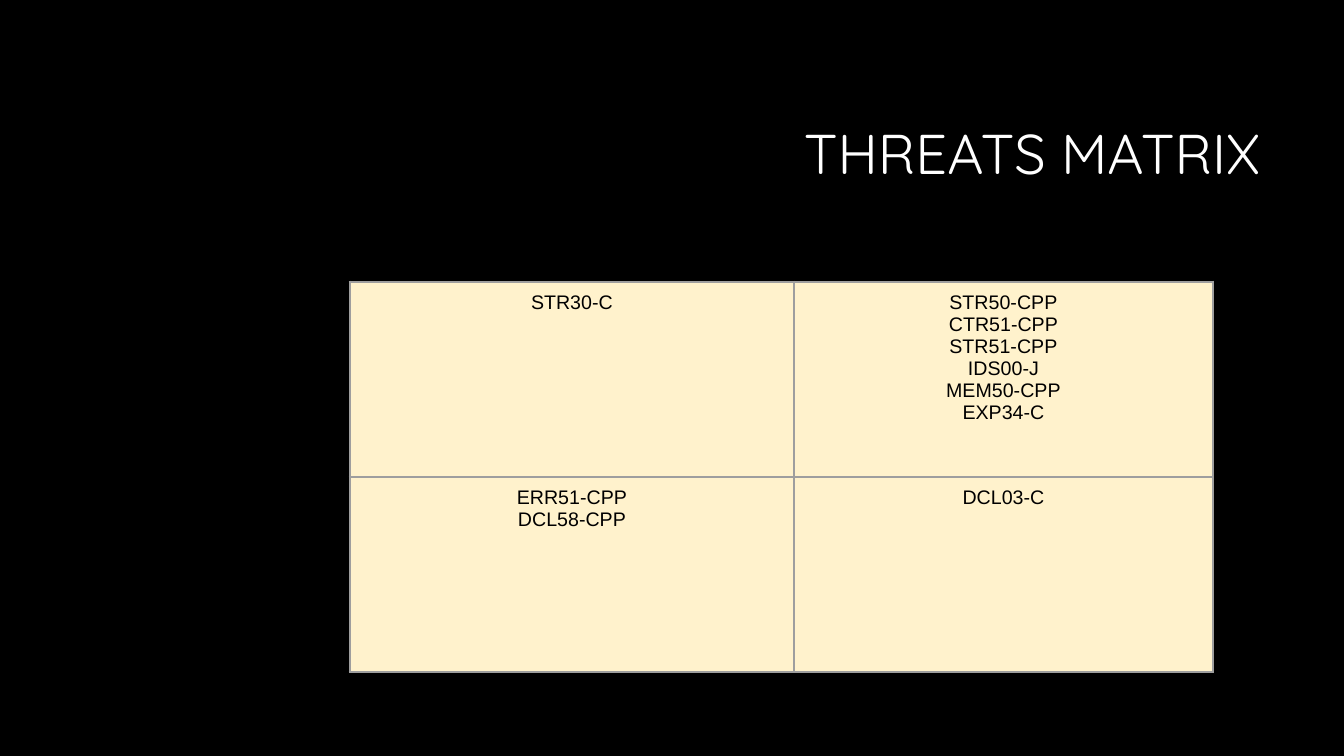
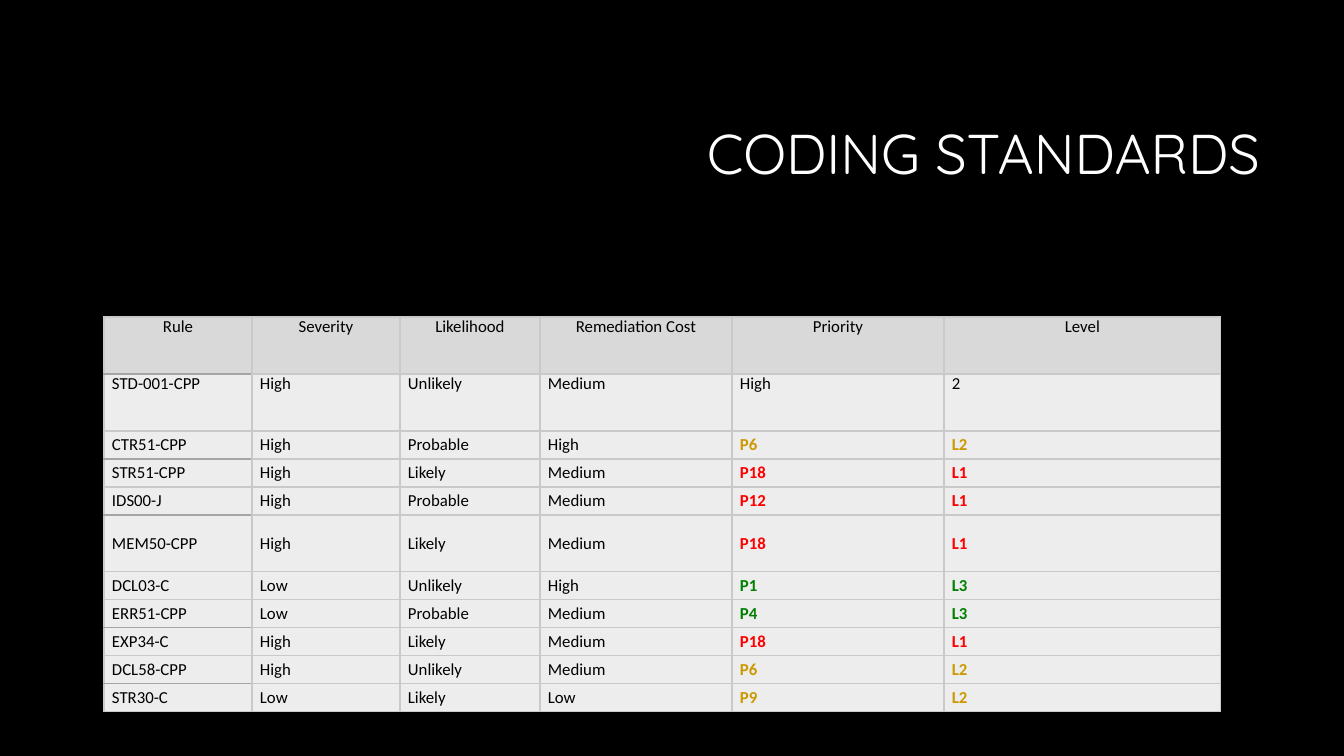
from lxml.etree import SubElement
from pptx import Presentation
from pptx.dml.color import RGBColor
from pptx.enum.text import MSO_ANCHOR, PP_ALIGN
from pptx.oxml.ns import qn
from pptx.util import Pt

EMU_PER_PX = 914400 / 100.8

COLORS = {
    "background": "000000",
    "title": "FFFFFF",
    "text": "000000",
    "matrix_fill": "FFF2CC",
    "matrix_border": "9E9E9E",
    "header_fill": "D9D9D9",
    "row_fill": "EDEDED",
    "border": "C9C9C9",
    "dark_border": "A5A5A5",
    "L1": "FF0000",
    "L2": "CC9900",
    "L3": "008000",
}

THREATS = [
    ["STR30-C", "STR50-CPP\nCTR51-CPP\nSTR51-CPP\nIDS00-J\nMEM50-CPP\nEXP34-C"],
    ["ERR51-CPP\nDCL58-CPP", "DCL03-C"],
]

STANDARDS = [
    ["Rule", "Severity", "Likelihood", "Remediation Cost", "Priority", "Level"],
    ["STD-001-CPP", "High", "Unlikely", "Medium", "High", "2"],
    ["CTR51-CPP", "High", "Probable", "High", "P6", "L2"],
    ["STR51-CPP", "High", "Likely", "Medium", "P18", "L1"],
    ["IDS00-J", "High", "Probable", "Medium", "P12", "L1"],
    ["MEM50-CPP", "High", "Likely", "Medium", "P18", "L1"],
    ["DCL03-C", "Low", "Unlikely", "High", "P1", "L3"],
    ["ERR51-CPP", "Low", "Probable", "Medium", "P4", "L3"],
    ["EXP34-C", "High", "Likely", "Medium", "P18", "L1"],
    ["DCL58-CPP", "High", "Unlikely", "Medium", "P6", "L2"],
    ["STR30-C", "Low", "Likely", "Low", "P9", "L2"],
]
PRIORITY_COLUMN = 4
TALL_ROWS = {0, 1, 5}
DARK_EDGE_BELOW = {0, 2, 4, 7, 9}


def px(length):
    return round(length * EMU_PER_PX)


def rgb(name):
    return RGBColor.from_string(COLORS[name])


def write_text(frame, text, *, font, size, color="text", bold=False,
               align=PP_ALIGN.LEFT, line_spacing=None):
    """Fill a text frame, one paragraph per line of text."""
    frame.text = text
    for paragraph in frame.paragraphs:
        paragraph.alignment = align
        paragraph.line_spacing = line_spacing
        for run in paragraph.runs:
            run.font.name = font
            run.font.size = Pt(size)
            run.font.bold = bold
            run.font.color.rgb = rgb(color)


def add_titled_slide(prs, title):
    slide = prs.slides.add_slide(prs.slide_layouts[6])
    background = slide.background.fill
    background.solid()
    background.fore_color.rgb = rgb("background")
    frame = slide.shapes.add_textbox(px(320), px(85), px(950), px(142)).text_frame
    frame.word_wrap = True
    frame.vertical_anchor = MSO_ANCHOR.MIDDLE
    write_text(frame, title, font="Quicksand", size=40, color="title",
               align=PP_ALIGN.RIGHT, line_spacing=0.9)
    return slide


def add_grid(slide, left, top, widths, heights):
    """Add an empty table with the given column widths and row heights."""
    table = slide.shapes.add_table(
        len(heights), len(widths), px(left), px(top),
        px(sum(widths)), px(sum(heights))).table
    table.first_row = table.horz_banding = False
    for column, width in zip(table.columns, widths):
        column.width = px(width)
    for row, height in zip(table.rows, heights):
        row.height = px(height)
    return table


def style_cell(cell, fill, *, border, weight, margin_x, margin_y,
               top=None, bottom=None, anchor=MSO_ANCHOR.TOP):
    """Set fill, margins and borders; top and bottom may override border."""
    cell.margin_left = cell.margin_right = px(margin_x)
    cell.margin_top = cell.margin_bottom = px(margin_y)
    cell.vertical_anchor = anchor
    properties = cell._tc.get_or_add_tcPr()
    edges = {"lnL": border, "lnR": border,
             "lnT": top or border, "lnB": bottom or border}
    for edge, color in edges.items():
        line = SubElement(properties, qn(f"a:{edge}"), w=str(Pt(weight)))
        line_fill = SubElement(line, qn("a:solidFill"))
        SubElement(line_fill, qn("a:srgbClr"), val=COLORS[color])
    cell.fill.solid()
    cell.fill.fore_color.rgb = rgb(fill)


def add_threats_matrix(slide):
    table = add_grid(slide, 350, 282, [444, 419], [195] * len(THREATS))
    for r, row in enumerate(THREATS):
        for c, rules in enumerate(row):
            cell = table.cell(r, c)
            style_cell(cell, "matrix_fill", border="matrix_border",
                       weight=2.25, margin_x=10, margin_y=10)
            write_text(cell.text_frame, rules, font="Arial", size=14,
                       align=PP_ALIGN.CENTER)


def add_standards_table(slide):
    heights = [57 if r in TALL_ROWS else 28 for r in range(len(STANDARDS))]
    table = add_grid(slide, 104, 317, [148, 148, 140, 192, 212, 277], heights)
    for r, row in enumerate(STANDARDS):
        is_header = r == 0
        level = row[-1]
        for c, value in enumerate(row):
            cell = table.cell(r, c)
            is_rule = c == 0
            is_rated = c >= PRIORITY_COLUMN and level in COLORS
            style_cell(
                cell, "header_fill" if is_header else "row_fill",
                border="border", weight=1, margin_x=8, margin_y=0,
                top="dark_border" if is_rule and r - 1 in DARK_EDGE_BELOW else None,
                bottom="dark_border" if is_rule and r in DARK_EDGE_BELOW else None,
                anchor=MSO_ANCHOR.TOP if r < 2 else MSO_ANCHOR.MIDDLE)
            write_text(cell.text_frame, value, font="Calibri", size=12,
                       color=level if is_rated else "text", bold=is_rated,
                       align=PP_ALIGN.CENTER if is_header else PP_ALIGN.LEFT)


def main():
    prs = Presentation()
    prs.slide_width, prs.slide_height = px(1344), px(756)
    add_threats_matrix(add_titled_slide(prs, "THREATS MATRIX"))
    add_standards_table(add_titled_slide(prs, "CODING STANDARDS"))
    prs.save("out.pptx")


if __name__ == "__main__":
    main()
